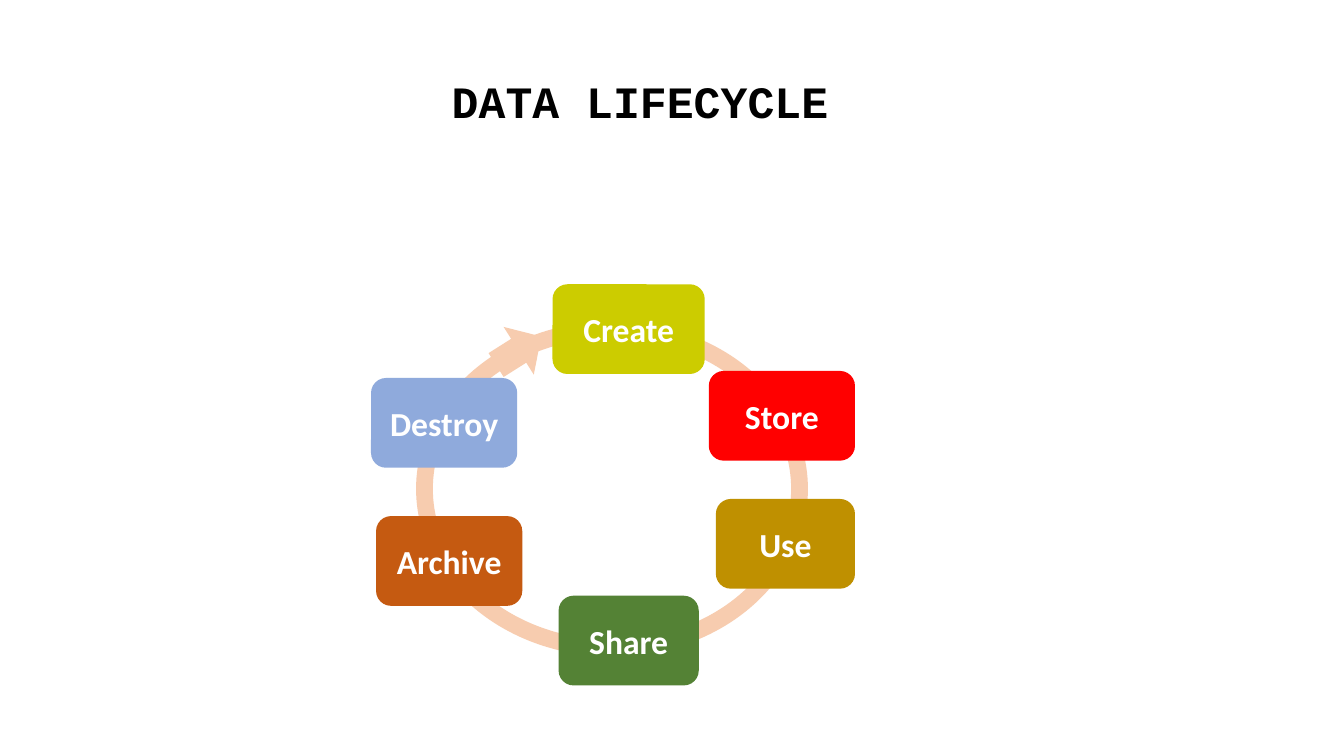
from pptx import Presentation
from pptx.dml.color import RGBColor
from pptx.enum.shapes import MSO_SHAPE
from pptx.enum.text import MSO_ANCHOR, PP_ALIGN
from pptx.util import Inches, Pt

RING = "F7CCAF"
BOX_HEIGHT = 0.89
# label, left, top, width, fill
STAGES = [
    ("Create", 5.48, 2.82, 1.51, "CCCC00"),
    ("Store", 7.03, 3.68, 1.45, "FF0000"),
    ("Use", 7.1, 4.95, 1.38, "BF9000"),
    ("Share", 5.54, 5.91, 1.39, "548235"),
    ("Archive", 3.73, 5.12, 1.45, "C55A11"),
    ("Destroy", 3.68, 3.75, 1.45, "8FAADC"),
]


def color(value):
    return RGBColor.from_string(value)


def write(s, text, size=24, font="Calibri", fill="FFFFFF", spacing=1.0):
    """Put one bold, centred line of text into a shape."""
    tf = s.text_frame
    tf.word_wrap = True
    tf.vertical_anchor = MSO_ANCHOR.MIDDLE
    tf.margin_left = tf.margin_right = Inches(0.05)
    p = tf.paragraphs[0]
    p.alignment = PP_ALIGN.CENTER
    p.line_spacing = spacing
    r = p.add_run()
    r.text = text
    r.font.name = font
    r.font.size = Pt(size)
    r.font.bold = True
    r.font.color.rgb = color(fill)


class LifecycleSlide:
    def __init__(self, slide):
        self.shapes = slide.shapes

    def shape(self, kind, left, top, width, height, fill=None, line=None, line_width=1):
        s = self.shapes.add_shape(
            kind, Inches(left), Inches(top), Inches(width), Inches(height))
        s.shadow.inherit = False
        if fill:
            s.fill.solid()
            s.fill.fore_color.rgb = color(fill)
        else:
            s.fill.background()
        if line:
            s.line.color.rgb = color(line)
            s.line.width = Pt(line_width)
        else:
            s.line.fill.background()
        return s

    def title(self, text, left, top, width, height):
        s = self.shapes.add_textbox(
            Inches(left), Inches(top), Inches(width), Inches(height))
        write(s, text, size=32, font="Courier New", fill="000000", spacing=0.9)

    def ring(self, left, top, width, height):
        self.shape(MSO_SHAPE.OVAL, left, top, width, height, line=RING, line_width=12)

    def arrow(self, left, top, width, height, rotation):
        s = self.shape(MSO_SHAPE.RIGHT_ARROW, left, top, width, height, fill=RING)
        s.rotation = rotation

    def stage(self, text, left, top, width, fill):
        s = self.shape(
            MSO_SHAPE.ROUNDED_RECTANGLE, left, top, width, BOX_HEIGHT, fill=fill)
        write(s, text)


def main():
    prs = Presentation()
    prs.slide_width = Inches(13.33)
    prs.slide_height = Inches(7.5)
    page = LifecycleSlide(prs.slides.add_slide(prs.slide_layouts[6]))

    # Cycle ring with its direction arrow
    page.ring(4.21, 3.27, 3.72, 3.16)
    page.arrow(4.88, 3.2, 0.53, 0.56, rotation=327.7)

    # Stages, clockwise from the top
    for stage in STAGES:
        page.stage(*stage)

    # Heading
    page.title("DATA LIFECYCLE", 1.35, 0.56, 10, 0.95)

    prs.save("out.pptx")


if __name__ == "__main__":
    main()
